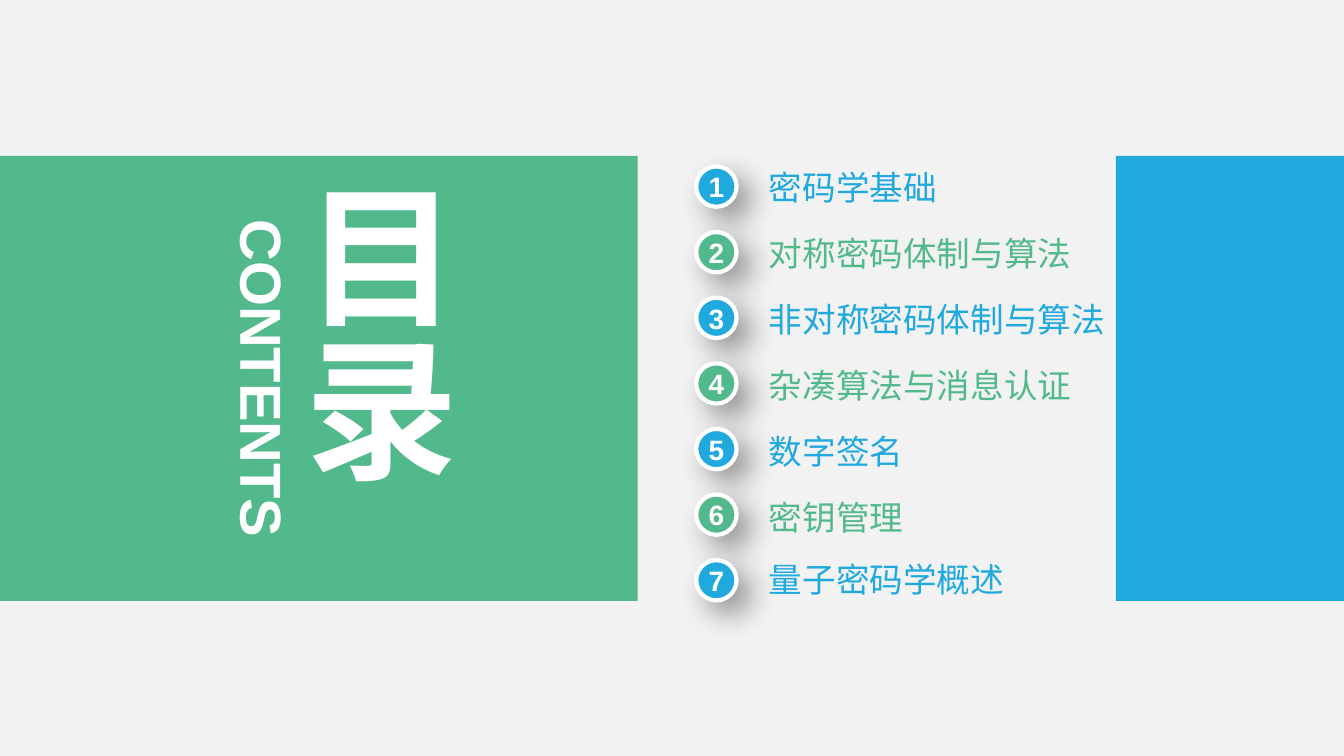
from dataclasses import dataclass

from lxml import etree
from pptx import Presentation
from pptx.dml.color import RGBColor
from pptx.enum import shapes, text
from pptx.oxml.ns import qn
from pptx.util import Pt

GREEN, BLUE, WHITE, PALE = "52B98C", "20A9DD", "FFFFFF", "F2F2F2"
FONT = "Arial"
BAND_TOP, BAND_HEIGHT = 83.5, 238.5
BADGE_LEFT, BADGE_SIZE, BADGE_PITCH = 373, 21.6, 35.15
LABEL_LEFT, LABEL_WIDTH, LABEL_PITCH = 411.9, 185.8, 35.45
LIST_TOP = 89.2


@dataclass
class Topic:
    name: str
    nudge: float = 0


TOPICS = [
    Topic("密码学基础"),
    Topic("对称密码体制与算法"),
    Topic("非对称密码体制与算法"),
    Topic("杂凑算法与消息认证"),
    Topic("数字签名"),
    Topic("密钥管理"),
    Topic("量子密码学概述", nudge=-2.4),
]


def rgb(color: str) -> RGBColor:
    return RGBColor.from_string(color)


def write(s, words: str, size: float, color: str, bold: bool = False,
          align=text.PP_ALIGN.CENTER, anchor=text.MSO_ANCHOR.MIDDLE) -> None:
    tf = s.text_frame
    tf.word_wrap = True
    tf.auto_size = text.MSO_AUTO_SIZE.NONE
    tf.margin_left = tf.margin_top = tf.margin_right = tf.margin_bottom = 0
    tf.vertical_anchor = anchor
    p = tf.paragraphs[0]
    p.alignment = align
    r = p.add_run()
    r.text = words
    r.font.name, r.font.size, r.font.bold = FONT, Pt(size), bold
    r.font.color.rgb = rgb(color)


def add_band(slide, left: float, width: float, color: str) -> None:
    s = slide.shapes.add_shape(shapes.MSO_SHAPE.RECTANGLE, Pt(left), Pt(BAND_TOP),
                               Pt(width), Pt(BAND_HEIGHT))
    s.shadow.inherit = False
    s.fill.solid()
    s.fill.fore_color.rgb = rgb(color)
    s.line.fill.background()


def add_drop_shadow(s) -> None:
    s.shadow.inherit = False
    effects = s._element.spPr.find(qn("a:effectLst"))
    shadow = etree.SubElement(effects, qn("a:outerShdw"), blurRad=str(Pt(16)),
                              dist=str(Pt(9)), dir="2700000", algn="tl", rotWithShape="0")
    color = etree.SubElement(shadow, qn("a:srgbClr"), val="000000")
    etree.SubElement(color, qn("a:alpha"), val="40000")


def add_badge(slide, number: int, top: float, color: str) -> None:
    s = slide.shapes.add_shape(shapes.MSO_SHAPE.OVAL, Pt(BADGE_LEFT), Pt(top),
                               Pt(BADGE_SIZE), Pt(BADGE_SIZE))
    s.fill.solid()
    s.fill.fore_color.rgb = rgb(color)
    s.line.color.rgb = rgb(WHITE)
    s.line.width = Pt(2.25)
    add_drop_shadow(s)
    write(s, str(number), 15, WHITE, bold=True)


def add_label(slide, words: str, top: float, color: str) -> None:
    s = slide.shapes.add_textbox(Pt(LABEL_LEFT), Pt(top), Pt(LABEL_WIDTH), Pt(BADGE_SIZE))
    write(s, words, 18, color, align=text.PP_ALIGN.LEFT)


def add_heading(slide) -> None:
    title = slide.shapes.title
    title.left, title.top, title.width, title.height = Pt(152), Pt(96.5), Pt(99.4), Pt(212.4)
    write(title, "目录", 82, WHITE, bold=True)
    title.text_frame._txBody.bodyPr.set("vert", "eaVert")
    # Placeholders precede the bands, so bring the title to the front.
    slide.shapes._spTree.append(title._element)

    s = slide.shapes.add_textbox(Pt(48.2), Pt(183.6), Pt(185), Pt(38.2))
    s.rotation = 90
    write(s, "CONTENTS", 31, WHITE, bold=True, anchor=text.MSO_ANCHOR.TOP)


def main() -> None:
    prs = Presentation()
    prs.slide_width, prs.slide_height = Pt(720), Pt(405)
    slide = prs.slides.add_slide(prs.slide_layouts[5])
    slide.background.fill.solid()
    slide.background.fill.fore_color.rgb = rgb(PALE)

    add_band(slide, 0, 341.6, GREEN)
    add_band(slide, 597.8, 122.2, BLUE)
    add_heading(slide)
    for i, topic in enumerate(TOPICS):
        color = (BLUE, GREEN)[i % 2]
        add_badge(slide, i + 1, LIST_TOP + i * BADGE_PITCH, color)
        add_label(slide, topic.name, LIST_TOP + i * LABEL_PITCH + topic.nudge, color)
    prs.save("out.pptx")


if __name__ == "__main__":
    main()
